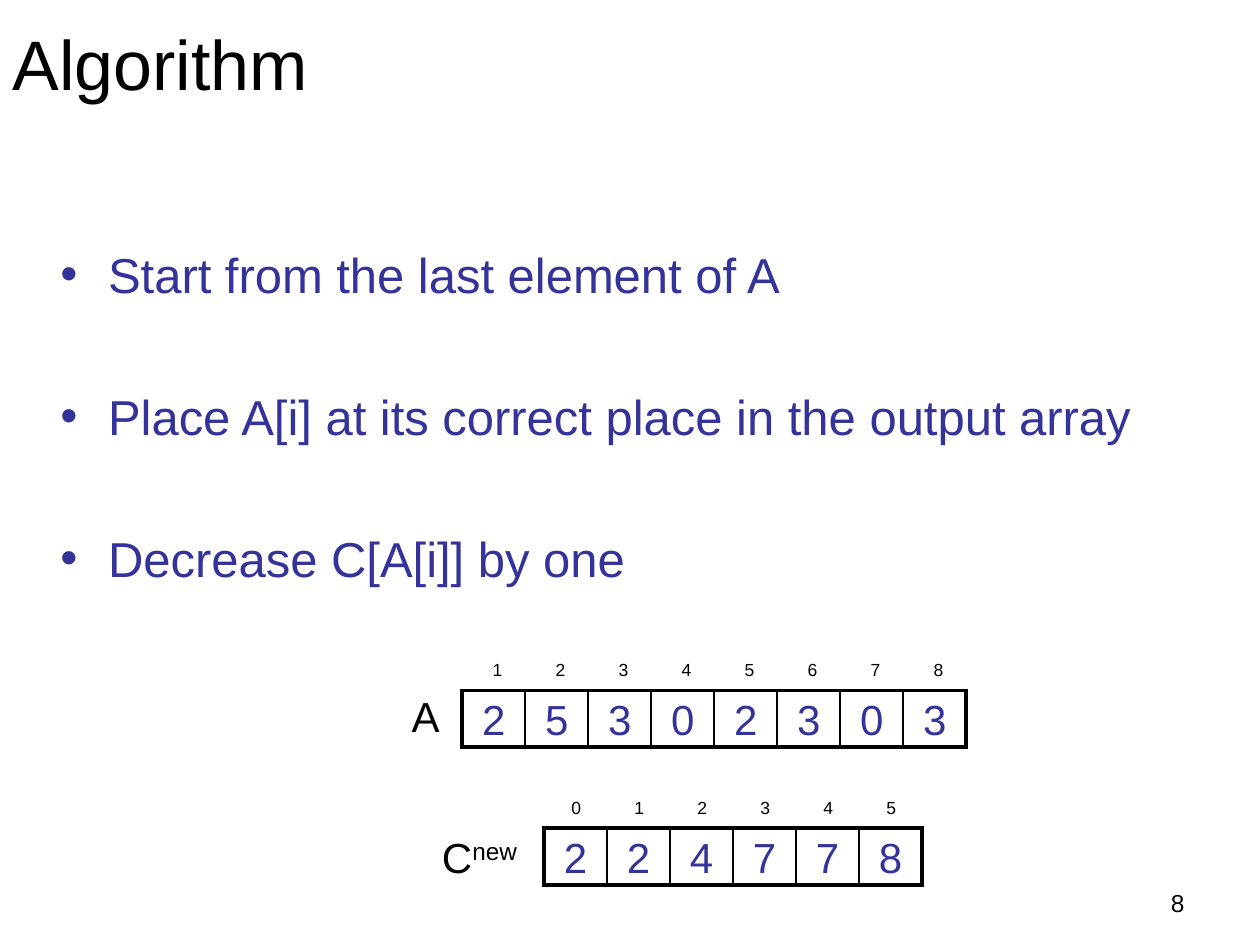
"""Build the slide on placing elements with counting sort."""
from lxml.etree import SubElement
from pptx import Presentation
from pptx.dml.color import RGBColor
from pptx.enum.shapes import MSO_CONNECTOR
from pptx.enum.text import MSO_ANCHOR as Anchor, PP_ALIGN as Align
from pptx.oxml.ns import qn
from pptx.util import Cm, Pt

BLACK = RGBColor(0x00, 0x00, 0x00)
INDIGO = RGBColor(0x33, 0x33, 0x99)
CELL_WIDTH, CELL_HEIGHT = 1.27, 1.14


def add_text(left, top, width, height, text, size, color=BLACK):
    box = page.shapes.add_textbox(Cm(left), Cm(top), Cm(width), Cm(height))
    box.text_frame.word_wrap = True
    box.text_frame.text = text
    for para in box.text_frame.paragraphs:
        para.font.name = "Arial"
        para.font.size = Pt(size)
        para.font.color.rgb = color
    return box.text_frame


def add_line(x1, y1, x2, y2, weight):
    line = page.shapes.add_connector(MSO_CONNECTOR.STRAIGHT, Cm(x1), Cm(y1), Cm(x2), Cm(y2))
    line.line.color.rgb = BLACK
    line.line.width = Pt(weight)
    line._element.spPr.find(qn("a:ln")).set("cap", "sq")
    SubElement(line._element.spPr, qn("a:effectLst"))


deck = Presentation()
deck.slide_width, deck.slide_height = Cm(25.4), Cm(19.05)
page = deck.slides.add_slide(deck.slide_layouts[5])

title = page.shapes.title
title.left, title.top, title.width, title.height = Cm(0), Cm(0), Cm(22.86), Cm(2.51)
title.text_frame.text = "Algorithm"
title.text_frame.vertical_anchor = Anchor.MIDDLE
heading = title.text_frame.paragraphs[0]
heading.alignment = Align.LEFT
heading.font.name = "Arial"
heading.font.size = Pt(40)
heading.font.color.rgb = BLACK

steps = [
    "Start from the last element of A",
    "Place A[i] at its correct place in the output array",
    "Decrease C[A[i]] by one",
]
body = add_text(0.97, 3.38, 22.86, 14.1, "\n".join(steps), 28, INDIGO)
body.margin_top = Cm(1.55)
for number, para in enumerate(body.paragraphs):
    para.space_before = Pt(47.5 if number else 0)
    properties = para._p.get_or_add_pPr()
    properties.set("marL", str(Cm(0.96)))
    properties.set("indent", str(-Cm(0.96)))
    SubElement(properties, qn("a:buFont"), typeface="Arial")
    SubElement(properties, qn("a:buChar"), char="•")
    properties.append(properties.find(qn("a:defRPr")))

arrays = [
    ("A", "", 8.05, 13.79, 1.07, 9.32, 13.92, 1, 0.36, 0.53, [2, 5, 3, 0, 2, 3, 0, 3]),
    ("C", "new", 8.66, 16.63, 2.01, 10.97, 16.7, 0, 0.3, 0.56, [2, 2, 4, 7, 7, 8]),
]
for (name, superscript, name_left, name_top, name_width,
     left, top, first, index_offset, index_width, values) in arrays:
    right, bottom = left + len(values) * CELL_WIDTH, top + CELL_HEIGHT
    for number, value in enumerate(values):
        x = left + number * CELL_WIDTH
        cell = add_text(x, top, CELL_WIDTH, CELL_HEIGHT, str(value), 24, INDIGO)
        cell.vertical_anchor = Anchor.MIDDLE
        cell.paragraphs[0].alignment = Align.CENTER
        cell.paragraphs[0].space_before = Pt(6)
        add_text(x + index_offset, top - 0.76, index_width, 0.69, str(first + number), 10)
    for y in (top, bottom):
        add_line(left, y, right, y, 2.25)
    for number in range(len(values) + 1):
        x = left + number * CELL_WIDTH
        add_line(x, top, x, bottom, 2.25 if number in (0, len(values)) else 1)
    label = add_text(name_left, name_top, name_width, 1.27, name, 24)
    label.margin_right = Cm(0)
    if superscript:
        span = label.paragraphs[0].add_run()
        span.text = superscript
        span.font._element.set("baseline", "30000")

page_number = add_text(18.21, 17.78, 5.92, 0.89, "8", 14)
page_number.paragraphs[0].alignment = Align.RIGHT

deck.save("out.pptx")
